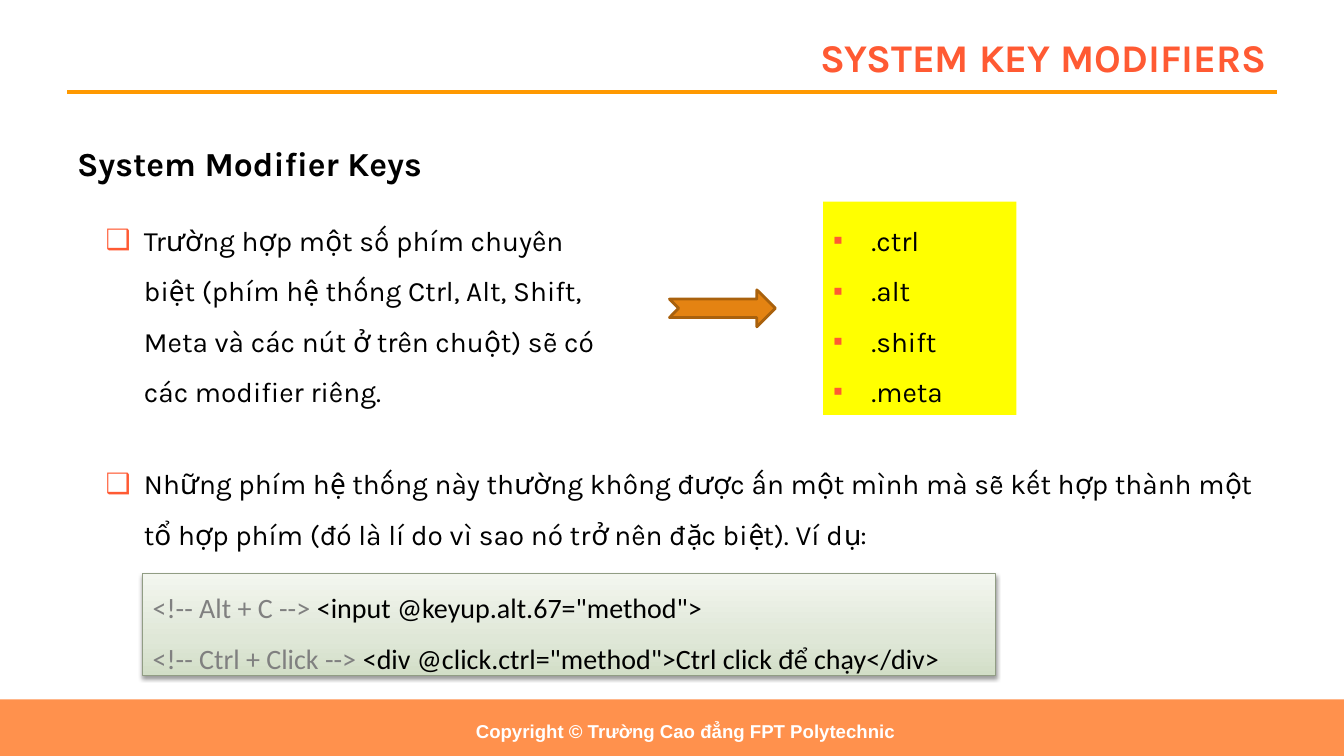
from dataclasses import dataclass
from typing import Any, NamedTuple

from lxml.etree import SubElement
from pptx import Presentation
from pptx.dml.color import RGBColor
from pptx.enum.shapes import MSO_CONNECTOR, MSO_SHAPE
from pptx.enum.text import MSO_ANCHOR as Anchor, MSO_AUTO_SIZE, PP_ALIGN as Align
from pptx.oxml import parse_xml
from pptx.oxml.ns import nsdecls, qn
from pptx.util import Inches, Pt

ORANGE = RGBColor(0xFF, 0x99, 0x00)
CORAL = RGBColor(0xFF, 0x5A, 0x33)
PEACH = RGBColor(0xFF, 0x91, 0x4D)
YELLOW = RGBColor(0xFF, 0xFF, 0x00)
AMBER = RGBColor(0xE4, 0x83, 0x12)
BROWN = RGBColor(0xA9, 0x61, 0x0D)
BLACK = RGBColor(0x00, 0x00, 0x00)
GRAY = RGBColor(0x80, 0x80, 0x80)
WHITE = RGBColor(0xFF, 0xFF, 0xFF)
SAGE = RGBColor(0x91, 0x9D, 0x84)
SAGE_STOPS = {
    0: RGBColor(0xD2, 0xDE, 0xC7),
    35: RGBColor(0xDF, 0xE7, 0xD7),
    100: RGBColor(0xF3, 0xF6, 0xEF),
}

COLUMNS, ROWS = 160, 90
SLIDE_WIDTH = Inches(40 / 3)
SLIDE_HEIGHT = Inches(7.5)
INDENT = Inches(0.38)


class Box(NamedTuple):
    column: float
    row: float
    columns: float
    rows: float

    def lengths(self) -> tuple[int, int, int, int]:
        return (
            round(self.column * SLIDE_WIDTH / COLUMNS),
            round(self.row * SLIDE_HEIGHT / ROWS),
            round(self.columns * SLIDE_WIDTH / COLUMNS),
            round(self.rows * SLIDE_HEIGHT / ROWS),
        )


class Piece(NamedTuple):
    text: str
    color: RGBColor = BLACK


@dataclass(frozen=True)
class TextBlock:
    box: Box
    lines: list[list[Piece]]
    size: float = 20
    font: str = "Karla"
    bold: bool = False
    bullet: str = ""
    spacing: float = 1.5
    align: Align = Align.LEFT
    anchor: Anchor = Anchor.TOP
    inset: bool = True


@dataclass(frozen=True)
class Panel:
    box: Box
    preset: MSO_SHAPE
    fill: RGBColor | None = None
    line: RGBColor | None = None
    line_width: float = 0


TITLE = TextBlock(
    Box(36, 3.6, 116, 6.4), [[Piece("SYSTEM KEY MODIFIERS", CORAL)]],
    size=28, bold=True, spacing=1, align=Align.RIGHT, anchor=Anchor.MIDDLE,
)
KEYS_BOX = Box(98, 24, 23, 25.4)
CODE_BOX = Box(17, 68.3, 101.5, 12.1)
FOOTER = Panel(Box(0, 83.25, 160, 6.75), MSO_SHAPE.RECTANGLE, PEACH)
KEYS_PANEL = Panel(KEYS_BOX, MSO_SHAPE.RECTANGLE, YELLOW)
ARROW = Panel(Box(79.7, 34.5, 12.6, 4.4), MSO_SHAPE.NOTCHED_RIGHT_ARROW, AMBER, BROWN, 2)
CODE_PANEL = Panel(CODE_BOX, MSO_SHAPE.RECTANGLE, line=SAGE, line_width=0.75)

TEXT_BOXES = [
    TextBlock(Box(8, 14, 144, 69), [[Piece("System Modifier Keys")]], size=24, bold=True),
    TextBlock(
        Box(56.65, 85.2, 60.35, 3.25),
        [[Piece("Copyright © Trường Cao đẳng FPT Polytechnic", WHITE)]],
        size=13.3, font="Arial", bold=True, spacing=1.2, align=Align.JUSTIFY, inset=False,
    ),
    TextBlock(
        Box(11.4, 24, 63.6, 25.4),
        [[Piece(
            "Trường hợp một số phím chuyên biệt (phím hệ thống Ctrl, Alt, Shift, "
            "Meta và các nút ở trên chuột) sẽ có các modifier riêng."
        )]],
        bullet="❑",
    ),
    TextBlock(
        Box(11.4, 53, 140.5, 13.3),
        [[Piece(
            "Những phím hệ thống này thường không được ấn một mình mà sẽ kết hợp "
            "thành một tổ hợp phím (đó là lí do vì sao nó trở nên đặc biệt). Ví dụ:"
        )]],
        bullet="❑",
    ),
]
KEYS = TextBlock(
    KEYS_BOX, [[Piece(key)] for key in (".ctrl", ".alt", ".shift", ".meta")], bullet="▪"
)
CODE = TextBlock(
    CODE_BOX,
    [
        [Piece("<!-- Alt + C --> ", GRAY), Piece('<input @keyup.alt.67="method">')],
        [
            Piece("<!-- Ctrl + Click --> ", GRAY),
            Piece('<div @click.ctrl="method">Ctrl click để chạy</div>'),
        ],
    ],
    font="Calibri", anchor=Anchor.MIDDLE,
)


def set_values(target: Any, values: dict[str, Any]) -> None:
    for name, value in values.items():
        setattr(target, name, value)


def add_bullet(paragraph: Any, mark: str) -> None:
    properties = paragraph._p.get_or_add_pPr()
    properties.set("marL", str(INDENT))
    properties.set("indent", str(-INDENT))
    color = SubElement(properties, qn("a:buClr"))
    SubElement(color, qn("a:srgbClr"), val=str(CORAL))
    SubElement(properties, qn("a:buFont"), typeface="Arial")
    SubElement(properties, qn("a:buChar"), char=mark)


def write_text(shape: Any, block: TextBlock) -> None:
    frame = shape.text_frame
    set_values(frame, {
        "word_wrap": True, "auto_size": MSO_AUTO_SIZE.NONE, "vertical_anchor": block.anchor,
    })
    if not block.inset:
        sides = ("left", "top", "right", "bottom")
        set_values(frame, {f"margin_{side}": 0 for side in sides})
    for index, line in enumerate(block.lines):
        paragraph = frame.add_paragraph() if index else frame.paragraphs[0]
        if block.bullet:
            add_bullet(paragraph, block.bullet)
        set_values(paragraph, {
            "alignment": block.align, "line_spacing": block.spacing, "space_before": Pt(0),
        })
        for piece in line:
            run = paragraph.add_run()
            run.text = piece.text
            set_values(run.font, {
                "name": block.font, "size": Pt(block.size), "bold": block.bold,
            })
            run.font.color.rgb = piece.color


def add_panel(slide: Any, panel: Panel) -> Any:
    shape = slide.shapes.add_shape(panel.preset, *panel.box.lengths())
    shape.shadow.inherit = False
    if panel.fill is not None:
        shape.fill.solid()
        shape.fill.fore_color.rgb = panel.fill
    if panel.line is None:
        shape.line.fill.background()
    else:
        shape.line.color.rgb = panel.line
        shape.line.width = Pt(panel.line_width)
    return shape


def shade_panel(shape: Any) -> None:
    stops = "".join(
        f'<a:gs pos="{share * 1000}"><a:srgbClr val="{color}"/></a:gs>'
        for share, color in SAGE_STOPS.items()
    )
    gradient = parse_xml(
        f'<a:gradFill {nsdecls("a")} rotWithShape="1"><a:gsLst>{stops}</a:gsLst>'
        '<a:lin ang="16200000" scaled="0"/></a:gradFill>'
    )
    properties = shape._element.spPr
    properties.find(qn("a:prstGeom")).addnext(gradient)
    shadow = SubElement(
        properties.find(qn("a:effectLst")), qn("a:outerShdw"),
        blurRad=str(Pt(3.1)), dist=str(Pt(1.6)), dir="5400000", rotWithShape="0",
    )
    color = SubElement(shadow, qn("a:srgbClr"), val=str(BLACK))
    SubElement(color, qn("a:alpha"), val="38000")


def add_title_rule(slide: Any) -> None:
    left, top, width, _ = Box(8, 11, 144, 0).lengths()
    rule = slide.shapes.add_connector(MSO_CONNECTOR.STRAIGHT, left, top, left + width, top)
    rule.line.color.rgb = ORANGE
    rule.line.width = Pt(3)
    SubElement(rule._element.spPr, qn("a:effectLst"))


def main() -> None:
    presentation = Presentation()
    set_values(presentation, {"slide_width": SLIDE_WIDTH, "slide_height": SLIDE_HEIGHT})
    slide = presentation.slides.add_slide(presentation.slide_layouts[5])
    title = slide.shapes.title
    set_values(title, dict(zip(("left", "top", "width", "height"), TITLE.box.lengths())))
    write_text(title, TITLE)
    add_title_rule(slide)
    add_panel(slide, FOOTER)
    write_text(add_panel(slide, KEYS_PANEL), KEYS)
    add_panel(slide, ARROW)
    for block in TEXT_BOXES:
        write_text(slide.shapes.add_textbox(*block.box.lengths()), block)
    code_panel = add_panel(slide, CODE_PANEL)
    shade_panel(code_panel)
    write_text(code_panel, CODE)
    presentation.save("out.pptx")


if __name__ == "__main__":
    main()
